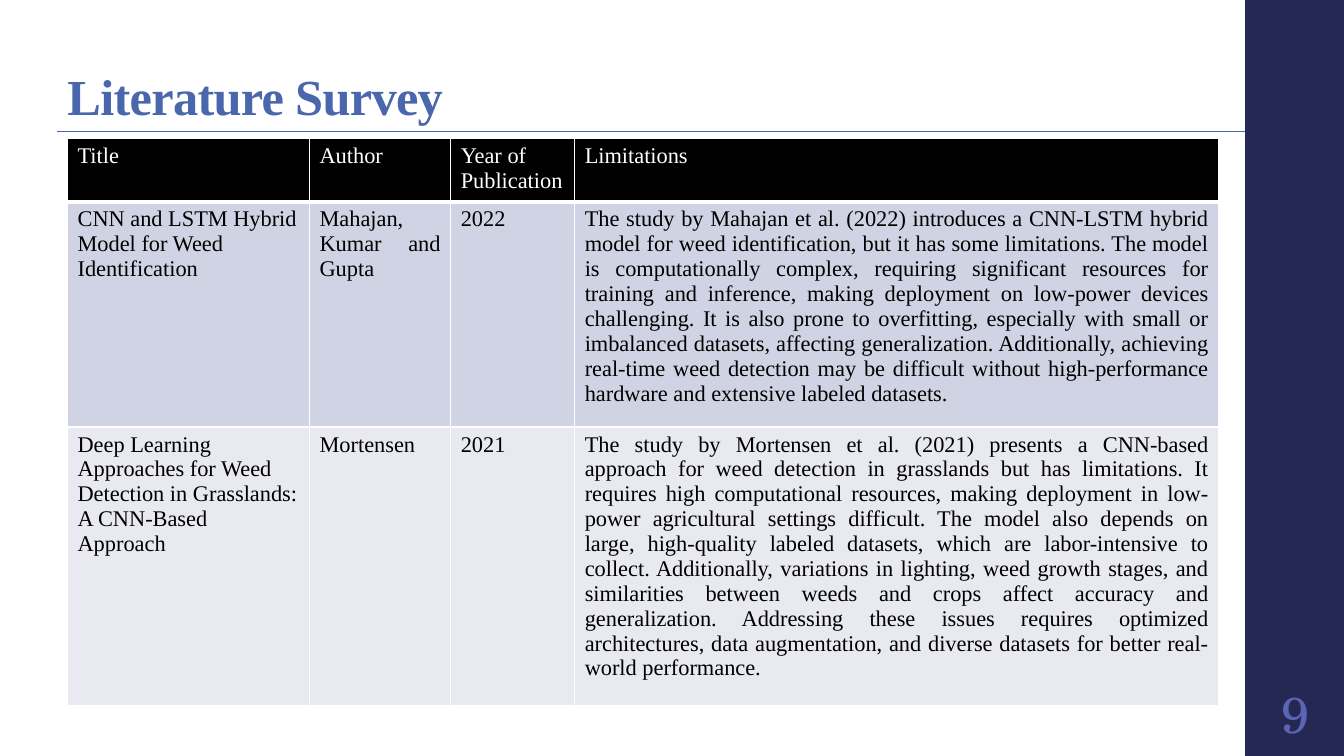
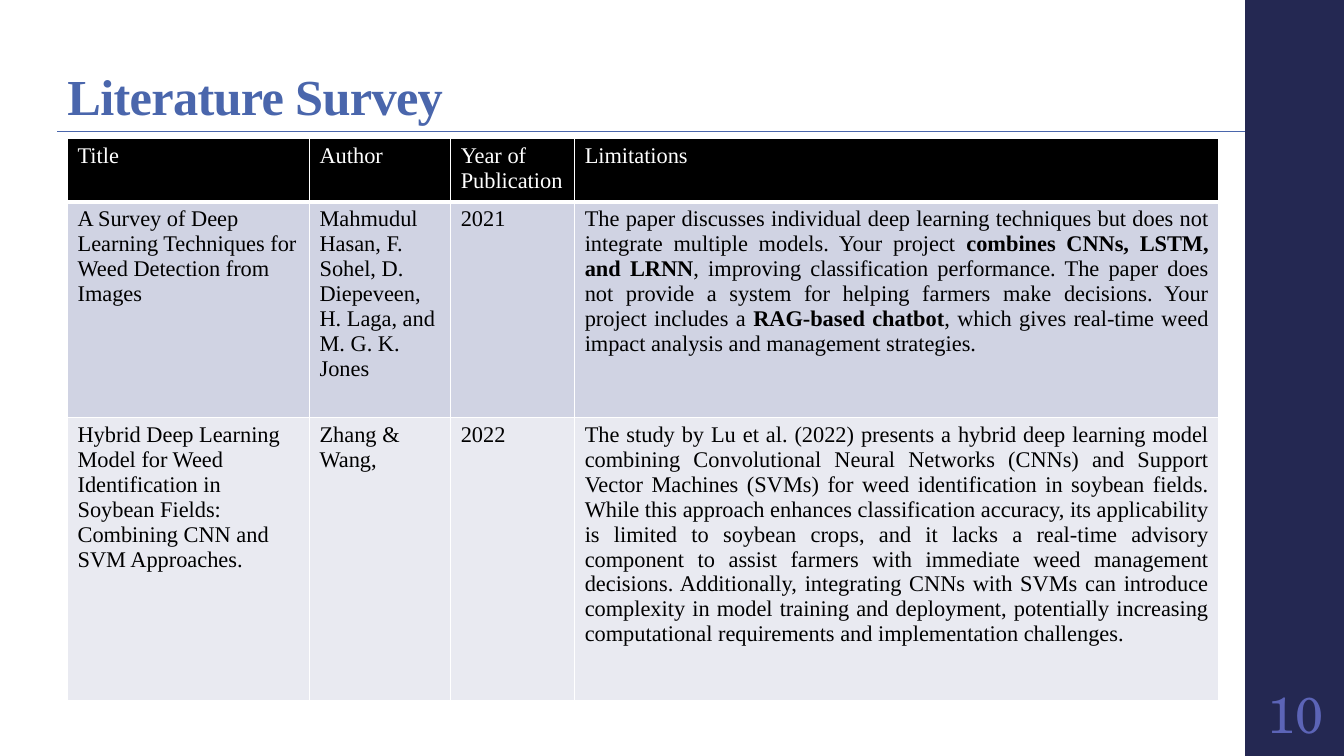
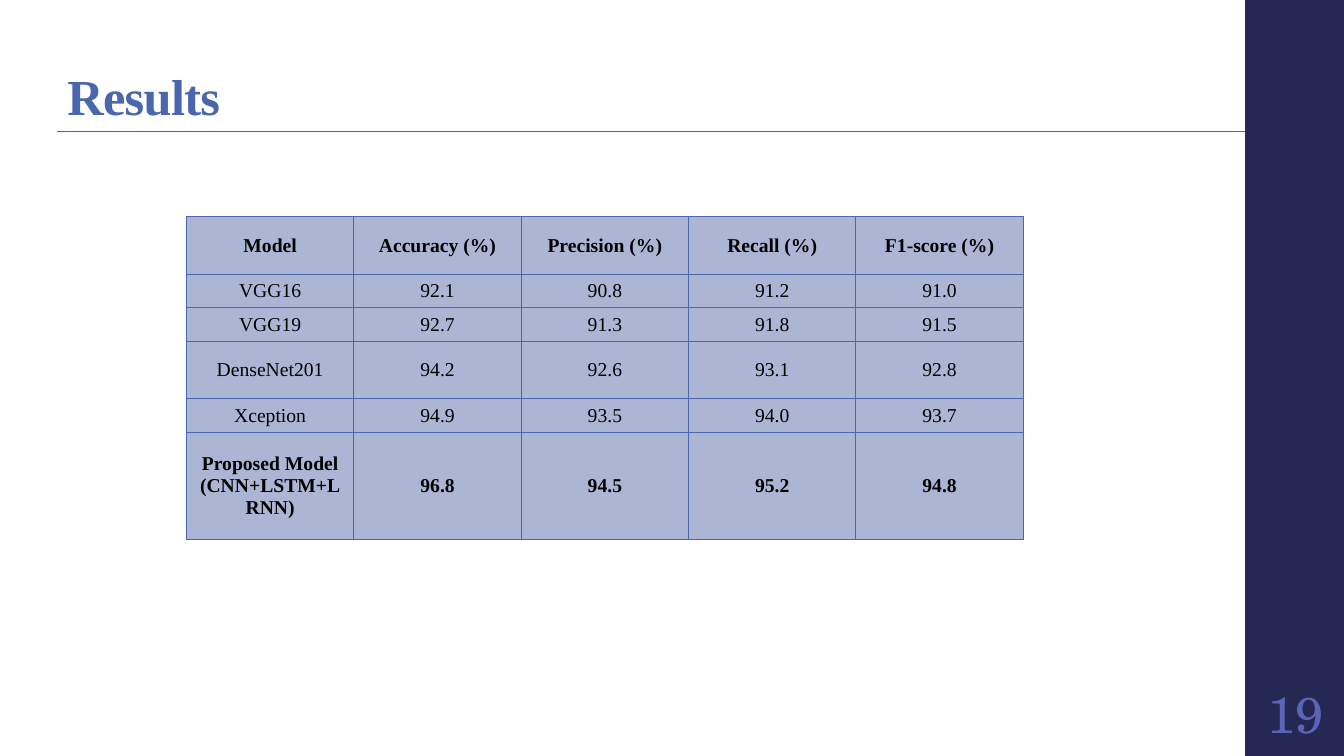
import pptx
import pptx.util
import pptx.dml.color
import pptx.enum.text
import pptx.enum.shapes
import pptx.oxml
import pptx.oxml.ns

Inches = pptx.util.Inches
Pt = pptx.util.Pt
ALIGN = pptx.enum.text.PP_ALIGN
ANCHOR = pptx.enum.text.MSO_ANCHOR

COLORS = {
    "band": "242852", "number": "5C64B7", "accent": "4A66AC",
    "white": "FFFFFF", "black": "000000",
    "row_dark": "D0D3E3", "row_light": "E9EAF1", "results": "ADB5D5",
}
BODY_FONT = "Times New Roman"
NUMBER_FONT = "TeX Gyre Schola"
SLIDE_W, SLIDE_H = 13.33, 7.5
BAND_LEFT = 12.35
RULE_LEFT, RULE_TOP = 0.57, 1.3

SURVEY_HEADER = ["Title", "Author", "Year of Publication", "Limitations"]
SURVEY_COLS = [2.4, 1.4, 1.23, 6.39]
# Text between ** marks is bold
SURVEY_RECENT = [
    ["CNN and LSTM Hybrid Model for Weed Identification",
     "Mahajan, Kumar and Gupta", "2022",
     "The study by Mahajan et al. (2022) introduces a CNN-LSTM hybrid model for weed "
     "identification, but it has some limitations. The model is computationally complex, "
     "requiring significant resources for training and inference, making deployment on "
     "low-power devices challenging. It is also prone to overfitting, especially with small "
     "or imbalanced datasets, affecting generalization. Additionally, achieving real-time "
     "weed detection may be difficult without high-performance hardware and extensive "
     "labeled datasets."],
    ["Deep Learning Approaches for Weed Detection in Grasslands: A CNN-Based Approach",
     "Mortensen", "2021",
     "The study by Mortensen et al. (2021) presents a CNN-based approach for weed detection "
     "in grasslands but has limitations. It requires high computational resources, making "
     "deployment in low-power agricultural settings difficult. The model also depends on "
     "large, high-quality labeled datasets, which are labor-intensive to collect. "
     "Additionally, variations in lighting, weed growth stages, and similarities between "
     "weeds and crops affect accuracy and generalization. Addressing these issues requires "
     "optimized architectures, data augmentation, and diverse datasets for better real-world "
     "performance."],
]
SURVEY_HYBRID = [
    ["A Survey of Deep Learning Techniques for Weed Detection from Images",
     "Mahmudul Hasan, F. Sohel, D. Diepeveen, H. Laga, and M. G. K. Jones", "2021",
     "The paper discusses individual deep learning techniques but does not integrate multiple "
     "models. Your project **combines CNNs, LSTM, and LRNN**, improving classification "
     "performance. The paper does not provide a system for helping farmers make decisions. "
     "Your project includes a **RAG-based chatbot**, which gives real-time weed impact "
     "analysis and management strategies."],
    ["Hybrid Deep Learning Model for Weed Identification in Soybean Fields: Combining CNN and "
     "SVM Approaches.",
     "Zhang & Wang,", "2022",
     "The study by Lu et al. (2022) presents a hybrid deep learning model combining "
     "Convolutional Neural Networks (CNNs) and Support Vector Machines (SVMs) for weed "
     "identification in soybean fields. While this approach enhances classification accuracy, "
     "its applicability is limited to soybean crops, and it lacks a real-time advisory "
     "component to assist farmers with immediate weed management decisions. Additionally, "
     "integrating CNNs with SVMs can introduce complexity in model training and deployment, "
     "potentially increasing computational requirements and implementation challenges."],
]
RESULTS = [
    ["Model", "Accuracy (%)", "Precision (%)", "Recall (%)", "F1-score (%)"],
    ["VGG16", "92.1", "90.8", "91.2", "91.0"],
    ["VGG19", "92.7", "91.3", "91.8", "91.5"],
    ["DenseNet201", "94.2", "92.6", "93.1", "92.8"],
    ["Xception", "94.9", "93.5", "94.0", "93.7"],
    ["Proposed Model (CNN+LSTM+LRNN)", "96.8", "94.5", "95.2", "94.8"],
]
RESULTS_ROWS = [0.57, 0.33, 0.33, 0.57, 0.33, 1.06]


def rgb(name):
    return pptx.dml.color.RGBColor.from_string(COLORS[name])


def style_run(run, size, color, bold=False, font=BODY_FONT):
    run.font.size = Pt(size)
    run.font.name = font
    run.font.bold = bold
    run.font.color.rgb = rgb(color)


def add_label(slide, box, text, insets, anchor, align):
    """One-line text box; returns its paragraph."""
    frame = slide.shapes.add_textbox(*map(Inches, box)).text_frame
    frame.word_wrap = True
    frame.vertical_anchor = anchor
    (frame.margin_left, frame.margin_top,
     frame.margin_right, frame.margin_bottom) = map(Inches, insets)
    frame.text = text
    frame.paragraphs[0].alignment = align
    return frame.paragraphs[0]


def add_frame(deck, title, number):
    """New slide with side band, page number, title and rule."""
    slide = deck.slides.add_slide(deck.slide_layouts[6])

    # Side band
    band = slide.shapes.add_shape(
        pptx.enum.shapes.MSO_SHAPE.RECTANGLE,
        *map(Inches, (BAND_LEFT, 0, SLIDE_W - BAND_LEFT, SLIDE_H)))
    band.shadow.inherit = False
    band.fill.solid()
    band.fill.fore_color.rgb = rgb("band")
    band.line.fill.background()

    # Page number
    page = add_label(slide, (BAND_LEFT, 6.75, 1, 0.65), str(number),
                     [0.05] * 4, ANCHOR.MIDDLE, ALIGN.CENTER)
    style_run(page.runs[0], 36, "number", font=NUMBER_FONT)

    # Title
    heading = add_label(slide, (RULE_LEFT, 0.38, 6.19, 0.92), title,
                        [0.1, 0.03, 0.1, 0.05], ANCHOR.BOTTOM, ALIGN.LEFT)
    heading.line_spacing = 0.9
    style_run(heading.runs[0], 36, "accent", bold=True)
    heading.runs[0].font._element.set("spc", "-50")

    # Rule under the title
    rule = slide.shapes.add_connector(
        pptx.enum.shapes.MSO_CONNECTOR.STRAIGHT,
        *map(Inches, (RULE_LEFT, RULE_TOP, BAND_LEFT, RULE_TOP)))
    rule.line.color.rgb = rgb("accent")
    rule.line.width = Pt(0.75)
    rule._element.spPr.append(pptx.oxml.parse_xml(
        "<a:effectLst %s/>" % pptx.oxml.ns.nsdecls("a")))
    return slide


def set_borders(cell, color, widths):
    """Border widths in points, in the order left, right, top, bottom."""
    properties = cell._tc.get_or_add_tcPr()
    for place, (side, width) in enumerate(zip("LRTB", widths)):
        properties.insert(place, pptx.oxml.parse_xml(
            '<a:ln%s %s w="%d"><a:solidFill><a:srgbClr val="%s"/></a:solidFill></a:ln%s>'
            % (side, pptx.oxml.ns.nsdecls("a"), Pt(width), COLORS[color], side)))


def fill_cell(cell, text, fill, size, color, align, bold=False):
    cell.fill.solid()
    cell.fill.fore_color.rgb = rgb(fill)
    paragraph = cell.text_frame.paragraphs[0]
    paragraph.alignment = align
    for index, part in enumerate(text.split("**")):
        run = paragraph.add_run()
        run.text = part
        style_run(run, size, color, bold or index % 2 == 1)


def add_grid(slide, left, top, cols, rows):
    grid = slide.shapes.add_table(
        len(rows), len(cols),
        *map(Inches, (left, top, sum(cols), sum(rows)))).table
    for column, width in zip(grid.columns, cols):
        column.width = Inches(width)
    for row, height in zip(grid.rows, rows):
        row.height = Inches(height)
    return grid


def add_survey(slide, left, top, papers, rows, author_align):
    grid = add_grid(slide, left, top, SURVEY_COLS, rows)
    fills = ["black", "row_dark", "row_light"]
    aligns = [ALIGN.LEFT, author_align, ALIGN.JUSTIFY, ALIGN.JUSTIFY]
    for r, texts in enumerate([SURVEY_HEADER] + papers):
        for c, text in enumerate(texts):
            cell = grid.cell(r, c)
            header = r == 0
            fill_cell(cell, text, fills[r], 16, "white" if header else "black",
                      ALIGN.LEFT if header else aligns[c])
            set_borders(cell, "white", [1, 1, 3 if r == 1 else 1, 3 if header else 1])


def add_results(slide, left, top):
    grid = add_grid(slide, left, top, [1.66] * len(RESULTS[0]), RESULTS_ROWS)
    for r, texts in enumerate(RESULTS):
        for c, text in enumerate(texts):
            cell = grid.cell(r, c)
            cell.vertical_anchor = ANCHOR.MIDDLE
            fill_cell(cell, text, "results", 14, "black", ALIGN.CENTER,
                      bold=r in (0, len(RESULTS) - 1))
            set_borders(cell, "accent", [0.75] * 4)


def main():
    deck = pptx.Presentation()
    deck.slide_width, deck.slide_height = Inches(SLIDE_W), Inches(SLIDE_H)

    # Literature survey
    surveys = [(9, SURVEY_RECENT, 2.66, ALIGN.JUSTIFY),
               (10, SURVEY_HYBRID, 2.81, ALIGN.LEFT)]
    for number, papers, last_row, author_align in surveys:
        slide = add_frame(deck, "Literature Survey", number)
        add_survey(slide, 0.67, 1.37, papers, [0.62, 2.14, last_row], author_align)

    # Results
    add_results(add_frame(deck, "Results", 19), 1.85, 2.15)
    deck.save("out.pptx")


if __name__ == "__main__":
    main()
